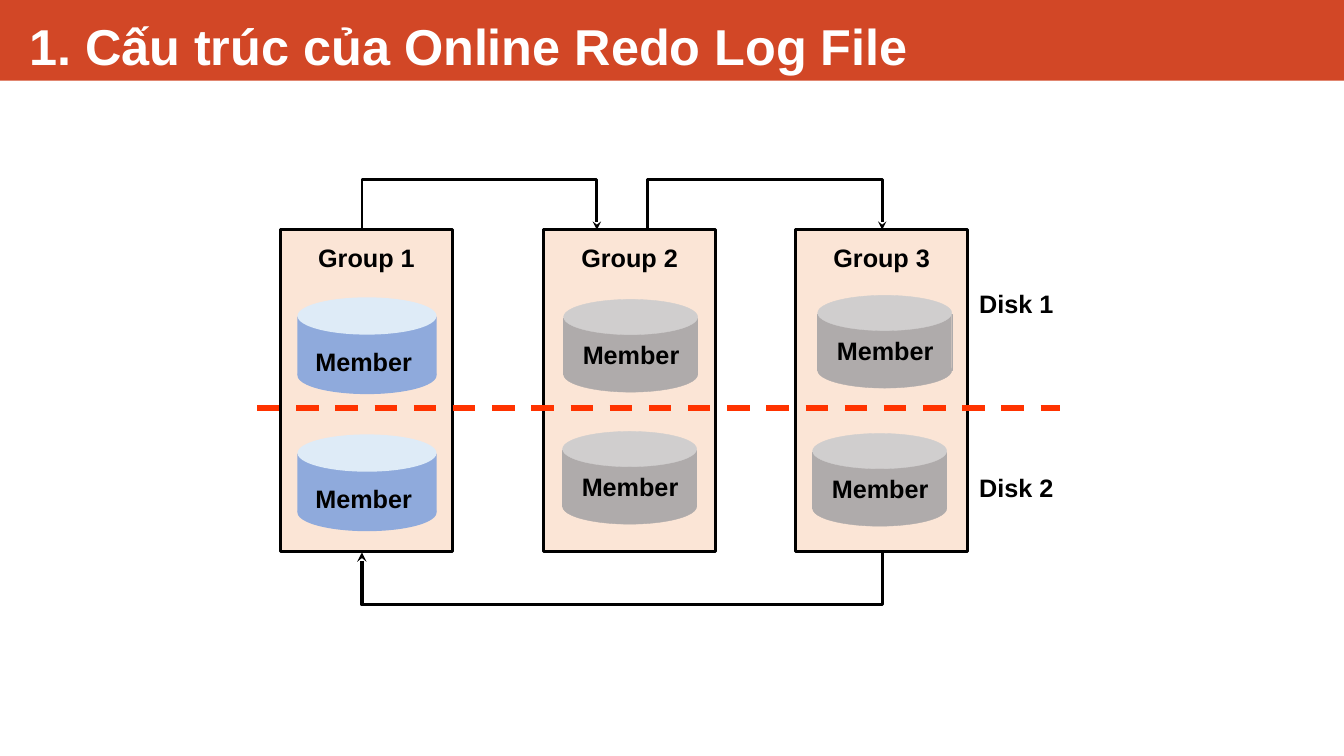
from dataclasses import dataclass

from pptx import Presentation
from pptx import util as u
from pptx.dml.color import RGBColor
from pptx.enum import dml, shapes, text
from pptx.oxml import parse_xml
from pptx.oxml.ns import nsdecls
from pptx.shapes.base import BaseShape

Point = tuple[float, float]
Box = tuple[float, float, float, float]


@dataclass(frozen=True)
class Theme:
    font: str = "Arial"
    title_size: int = 36
    label_size: int = 18
    banner: str = "D24726"
    white: str = "FFFFFF"
    ink: str = "000000"
    panel: str = "FBE5D6"
    divider: str = "FF3300"


@dataclass(frozen=True)
class DiskStyle:
    width: float
    body_height: float
    cap_height: float
    body_drop: float
    base_drop: float
    color: str
    cap_color: str
    edge: float
    label: Box  # left and top within the disk, width, height
    inset: Point


@dataclass(frozen=True)
class LogGroup:
    name: str
    left: float
    style: DiskStyle
    members: tuple[Point, Point]


@dataclass(frozen=True)
class Route:
    points: tuple[Point, ...]
    weight: float


THEME = Theme()
ACTIVE = DiskStyle(1.38, 0.58, 0.37, 0.19, 0.59, "8FAADC", "DEEBF7", 0,
                   (0.08, 0.44, 1.16, 0.4), (0.1, 0.05))
IDLE = DiskStyle(1.33, 0.55, 0.35, 0.19, 0.57, "AFABAB", "D0CECE", 0.25,
                 (0.06, 0.33, 1.22, 0.43), (0.13, 0.07))

PANEL_TOP, PANEL_WIDTH, PANEL_HEIGHT = 2.28, 1.71, 3.19
PANEL_BOTTOM = PANEL_TOP + PANEL_HEIGHT
ROUTE_TOP, ROUTE_BOTTOM = 1.78, 6.0

GROUPS = (
    LogGroup("Group 1", 2.78, ACTIVE, ((2.95, 2.95), (2.95, 4.31))),
    LogGroup("Group 2", 5.39, IDLE, ((5.59, 2.97), (5.58, 4.28))),
    LogGroup("Group 3", 7.89, IDLE, ((8.11, 2.93), (8.06, 4.3))),
)
DISKS = (("Disk 1", 2.81), ("Disk 2", 4.64))


def route(start: float, end: float, side: float, edge: float, weight: float) -> Route:
    return Route(((start, edge), (start, side), (end, side), (end, edge)), weight)


ROUTES = (
    route(3.59, 5.92, ROUTE_TOP, PANEL_TOP, 2),
    route(6.42, 8.75, ROUTE_TOP, PANEL_TOP, 2),
    route(8.75, 3.59, ROUTE_BOTTOM, PANEL_BOTTOM + 0.01, 2.25),
)


def inches(values: tuple[float, ...]) -> list[u.Length]:
    return [u.Inches(value) for value in values]


def rgb(color: str) -> RGBColor:
    return RGBColor.from_string(color)


def add_block(parent, kind: shapes.MSO_SHAPE, box: Box, color: str,
              edge_color: str = THEME.ink, edge: float = 0) -> BaseShape:
    block = parent.add_shape(kind, *inches(box))
    block.shadow.inherit = False
    block.fill.solid()
    block.fill.fore_color.rgb = rgb(color)
    if edge:
        block.line.color.rgb = rgb(edge_color)
        block.line.width = u.Pt(edge)
    else:
        block.line.fill.background()
    return block


def add_text(parent, wording: str, box: Box, *, size: int = THEME.label_size,
             color: str = THEME.ink, align=text.PP_ALIGN.CENTER,
             anchor=text.MSO_ANCHOR.TOP, wrap: bool = True,
             inset: Point = (0.1, 0.05)) -> None:
    frame = parent.add_textbox(*inches(box)).text_frame
    frame.word_wrap = wrap
    frame.vertical_anchor = anchor
    frame.margin_left = frame.margin_right = u.Inches(inset[0])
    frame.margin_top = frame.margin_bottom = u.Inches(inset[1])
    paragraph = frame.paragraphs[0]
    paragraph.alignment = align
    run = paragraph.add_run()
    run.text = wording
    run.font.name = THEME.font
    run.font.size = u.Pt(size)
    run.font.bold = True
    run.font.color.rgb = rgb(color)


def add_member(parent, corner: Point, style: DiskStyle) -> None:
    left, top = corner
    disk = parent.add_group_shape().shapes
    rect, oval = shapes.MSO_SHAPE.RECTANGLE, shapes.MSO_SHAPE.OVAL
    for kind, drop, height, color in (
        (rect, style.body_drop, style.body_height, style.color),
        (oval, 0, style.cap_height, style.cap_color),
        (oval, style.base_drop, style.cap_height, style.color),
    ):
        add_block(disk, kind, (left, top + drop, style.width, height), color, color, style.edge)
    dx, dy, width, height = style.label
    add_text(disk, "Member", (left + dx, top + dy, width, height),
             align=text.PP_ALIGN.LEFT, wrap=False, inset=style.inset)


def add_route(parent, path: Route) -> None:
    start, *rest = [tuple(inches(point)) for point in path.points]
    builder = parent.build_freeform(*start)
    builder.add_line_segments(rest, close=False)
    arrow = builder.convert_to_shape()
    arrow.shadow.inherit = False
    arrow.fill.background()
    arrow.line.color.rgb = rgb(THEME.ink)
    arrow.line.width = u.Pt(path.weight)
    arrow.line._get_or_add_ln().append(
        parse_xml(f'<a:tailEnd {nsdecls("a")} type="stealth"/>'))


def add_divider(parent, start: Point, end: Point) -> None:
    divider = parent.add_connector(shapes.MSO_CONNECTOR.STRAIGHT, *inches(start + end))
    divider.line.color.rgb = rgb(THEME.divider)
    divider.line.width = u.Pt(4)
    divider.line.dash_style = dml.MSO_LINE.DASH
    divider._element.spPr.append(parse_xml(f'<a:effectLst {nsdecls("a")}/>'))


def main() -> None:
    deck = Presentation()
    deck.slide_width, deck.slide_height = inches((13.33, 7.5))
    canvas = deck.slides.add_slide(deck.slide_layouts[6]).shapes

    # Title banner
    add_block(canvas, shapes.MSO_SHAPE.RECTANGLE, (0, 0, 13.33, 0.8), THEME.banner)
    add_text(canvas, "1. Cấu trúc của Online Redo Log File", (0.19, 0, 12.94, 0.8),
             size=THEME.title_size, color=THEME.white, align=text.PP_ALIGN.LEFT,
             anchor=text.MSO_ANCHOR.BOTTOM)

    # Log groups with their members
    for group in GROUPS:
        add_block(canvas, shapes.MSO_SHAPE.RECTANGLE,
                  (group.left, PANEL_TOP, PANEL_WIDTH, PANEL_HEIGHT), THEME.panel, edge=2.25)
        add_text(canvas, group.name, (group.left - 0.03, 2.35, 1.77, 0.4))
        for corner in group.members:
            add_member(canvas, corner, group.style)

    # Split between the two disks
    add_divider(canvas, (2.55, 4.05), (10.51, 4.05))
    for disk_name, top in DISKS:
        add_text(canvas, disk_name, (9.61, top, 0.94, 0.4))

    # Cycle from group to group
    for path in ROUTES:
        add_route(canvas, path)

    deck.save("out.pptx")


if __name__ == "__main__":
    main()
